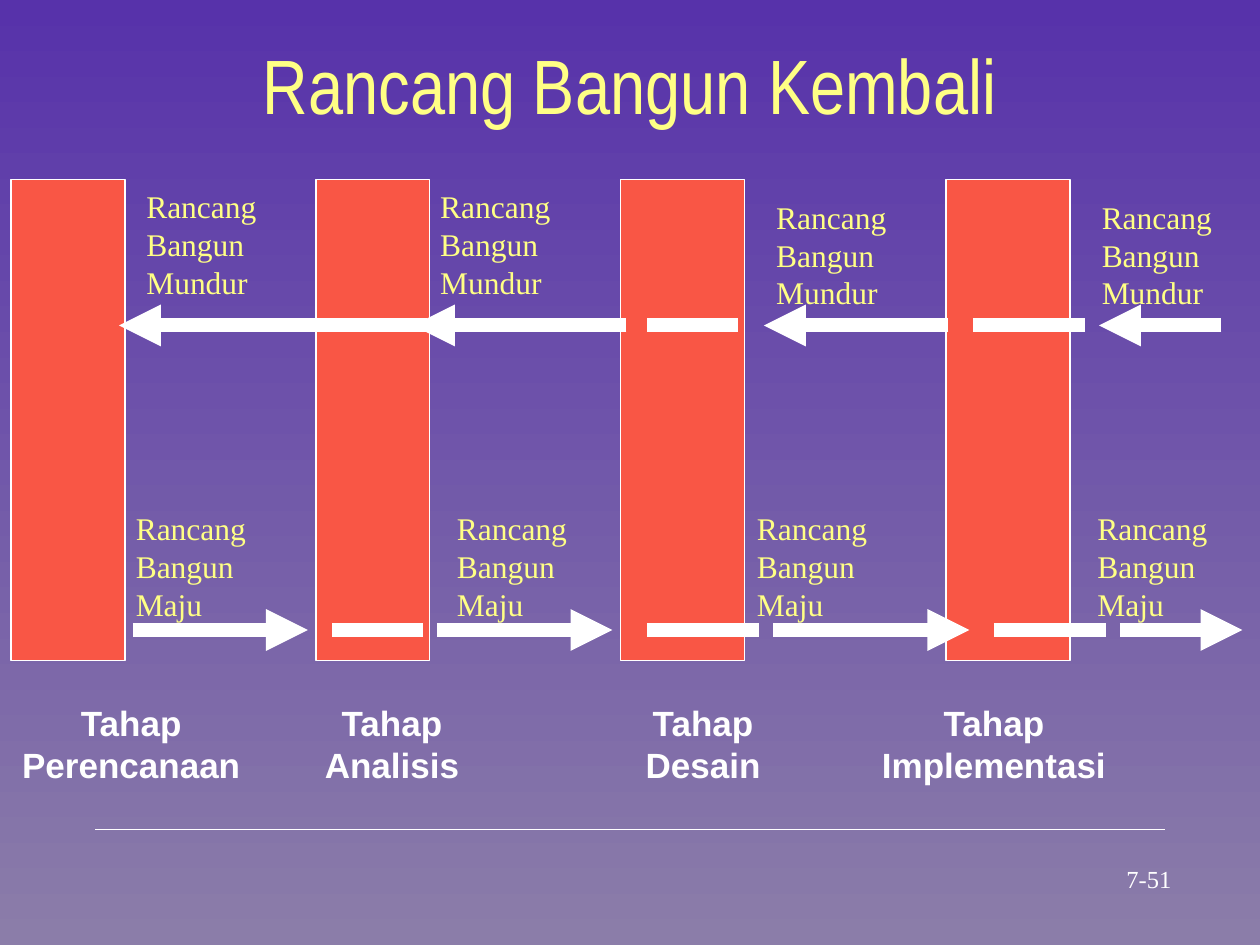
from lxml import etree
from pptx import Presentation
from pptx.dml.color import RGBColor
from pptx.enum import shapes, text
from pptx.oxml import ns
from pptx.util import Pt

COLORS = {"top": "5732AA", "bottom": "8B7DA9", "yellow": "FFFF85",
          "red": "F95645", "white": "FFFFFF"}
COLORS = {name: RGBColor.from_string(c) for name, c in COLORS.items()}


def write(shape, words, size, font, color, align=text.PP_ALIGN.LEFT, bold=False):
    tf = shape.text_frame
    tf.word_wrap = True
    tf.text = words
    p = tf.paragraphs[0]
    p.alignment = align
    f = p.runs[0].font
    f.size, f.name, f.bold = Pt(size), font, bold
    f.color.rgb = COLORS[color]


def add_line(x1, x2, y, width, arrow=False):
    """Draw a white horizontal line, with an arrowhead at x2 if asked."""
    line = s.shapes.add_connector(shapes.MSO_CONNECTOR.STRAIGHT,
                                  Pt(x1), Pt(y), Pt(x2), Pt(y))
    line.line.color.rgb = COLORS["white"]
    line.line.width = Pt(width)
    if arrow:
        etree.SubElement(line.line._get_or_add_ln(), ns.qn("a:tailEnd"), type="triangle")
    etree.SubElement(line._element.spPr, ns.qn("a:effectLst"))


prs = Presentation()
prs.slide_width, prs.slide_height = Pt(720), Pt(540)
s = prs.slides.add_slide(prs.slide_layouts[5])

fill = s.background.fill
fill.gradient()
fill.gradient_angle = 270
for stop, name, position in zip(fill.gradient_stops, ("top", "bottom"), (0, 1)):
    stop.color.rgb = COLORS[name]
    stop.position = position

title = s.shapes.title
title.left, title.top, title.width, title.height = Pt(54), Pt(0), Pt(612), Pt(96)
write(title, "Rancang Bangun Kembali", 44, "Arial Narrow", "yellow", text.PP_ALIGN.CENTER)
title.text_frame.vertical_anchor = text.MSO_ANCHOR.MIDDLE

# Captions of the backward and forward arrows: left, top, width
captions = {
    "Rancang Bangun Mundur": [(76.5, 103.5, 99), (244.5, 103.5, 114),
                              (436.5, 109.5, 91.5), (622.5, 109.5, 98)],
    "Rancang Bangun Maju": [(70.5, 287.5, 106), (254, 287.5, 104),
                            (425.5, 287.5, 103), (620, 287.5, 106)],
}
for words, places in captions.items():
    for left, top, width in places:
        box = s.shapes.add_textbox(Pt(left), Pt(top), Pt(width), Pt(72))
        write(box, words, 18, "Times New Roman", "yellow")

# Stages: name, bar left, bar width, label left, label width
stages = [("Perencanaan", 6.5, 65, 4, 142), ("Analisis", 180.5, 65, 176, 96),
          ("Desain", 354.5, 71, 350, 103.5), ("Implementasi", 540.5, 71, 496, 144)]
for name, bar_left, bar_width, left, width in stages:
    bar = s.shapes.add_shape(shapes.MSO_SHAPE.RECTANGLE,
                             Pt(bar_left), Pt(102.5), Pt(bar_width), Pt(275))
    bar.shadow.inherit = False
    bar.fill.solid()
    bar.fill.fore_color.rgb = COLORS["red"]
    bar.line.color.rgb = COLORS["white"]
    bar.line.width = Pt(1)
    label = s.shapes.add_textbox(Pt(left), Pt(397.5), Pt(width), Pt(55))
    write(label, f"Tahap {name}", 20, "Arial", "white", text.PP_ALIGN.CENTER, bold=True)

add_line(54.5, 665.5, 474, 1)

# In each row, arrows alternate with plain dashes across the bars
backward = [(178, 68), (244, 176), (358, 236), (370, 422),
            (542, 436.5), (556, 620), (698, 628)]
forward = [(76, 176), (190, 242), (250, 350), (370, 434),
           (442, 554), (568, 632), (640, 710)]
for i, (x1, x2) in enumerate(backward):
    add_line(x1, x2, 186, 8, arrow=i % 2 == 0)
for i, (x1, x2) in enumerate(forward):
    add_line(x1, x2, 360, 8, arrow=i % 2 == 0)

number = s.shapes.add_textbox(Pt(614), Pt(490), Pt(85), Pt(24.5))
write(number, "7-51", 14, "Times New Roman", "white", text.PP_ALIGN.CENTER)
number.text_frame.word_wrap = False
number.text_frame.vertical_anchor = text.MSO_ANCHOR.MIDDLE

prs.save("out.pptx")
